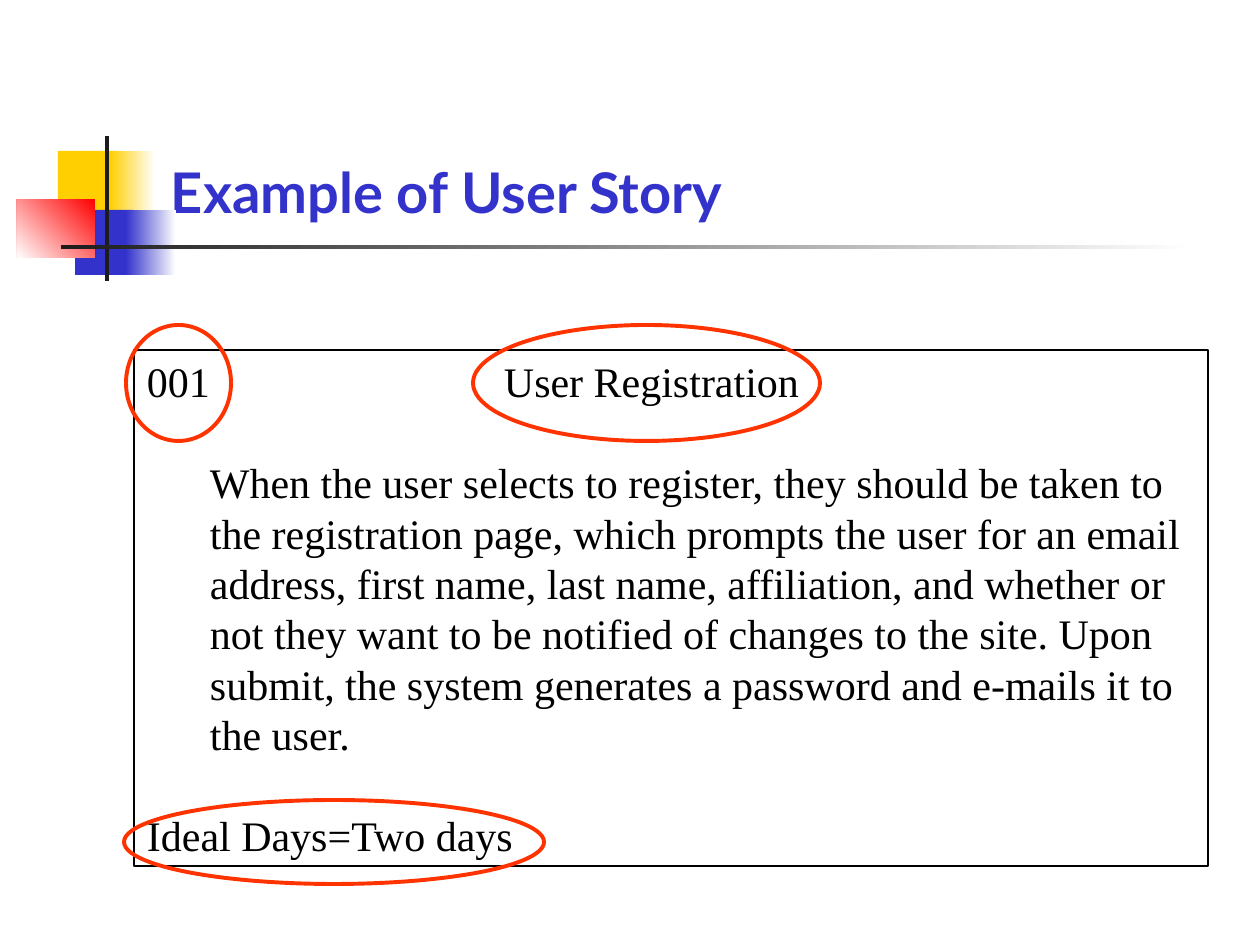
from dataclasses import dataclass

from pptx import Presentation
from pptx.dml.color import RGBColor
from pptx.enum.shapes import MSO_SHAPE
from pptx.enum.text import MSO_ANCHOR, PP_ALIGN
from pptx.util import Emu, Pt

PX_PER_INCH = 126


def px(n):
    return Emu(round(n * 914400 / PX_PER_INCH))


@dataclass(frozen=True)
class Theme:
    yellow: str = "FFCF01"
    blue: str = "3333CC"
    red: str = "FF0000"
    dark: str = "1C1C1C"
    white: str = "FFFFFF"
    black: str = "000000"
    mark: str = "FF3300"
    title_font: str = "Lato"
    body_font: str = "Times New Roman"
    title_size: float = 32
    body_size: float = 24
    line_pitch: float = 28.8
    card_line: float = 0.75
    mark_line: float = 2.25


class SlideBuilder:
    def __init__(self, slide, theme):
        self.slide = slide
        self.theme = theme

    def set_format(self, target, values):
        for name, value in values.items():
            setattr(target, name, value)

    def font(self, r, name, size, color, bold=False):
        self.set_format(r.font, {"name": name, "size": Pt(size), "bold": bold})
        r.font.color.rgb = RGBColor.from_string(color)

    def frame(self, tf, anchor):
        self.set_format(tf, {
            "word_wrap": True, "vertical_anchor": anchor,
            "margin_left": px(13), "margin_right": px(13),
            "margin_top": px(6), "margin_bottom": px(6),
        })

    def shape(self, kind, box, fill=None, line=None, width=0):
        sp = self.slide.shapes.add_shape(kind, *map(px, box))
        sp.shadow.inherit = False
        if fill:
            sp.fill.solid()
            sp.fill.fore_color.rgb = RGBColor.from_string(fill)
        else:
            sp.fill.background()
        if line:
            sp.line.color.rgb = RGBColor.from_string(line)
            sp.line.width = Pt(width)
        else:
            sp.line.fill.background()
        return sp

    def block(self, box, color):
        return self.shape(MSO_SHAPE.RECTANGLE, box, fill=color)

    def fading_block(self, box, color, angle=0):
        """Rectangle that fades from color to white; angle is counter-clockwise."""
        sp = self.block(box, color)
        sp.fill.gradient()
        sp.fill.gradient_angle = angle
        stops = zip(sp.fill.gradient_stops, (color, self.theme.white), (0, 1))
        for stop, rgb, position in stops:
            stop.color.rgb = RGBColor.from_string(rgb)
            stop.position = position

    def title(self, text, box):
        t = self.theme
        sp = self.slide.shapes.title
        self.set_format(sp, dict(zip(("left", "top", "width", "height"), map(px, box))))
        self.frame(sp.text_frame, MSO_ANCHOR.BOTTOM)
        p = sp.text_frame.paragraphs[0]
        p.alignment = PP_ALIGN.LEFT
        r = p.add_run()
        r.text = text
        self.font(r, t.title_font, t.title_size, t.blue, bold=True)

    def body(self, tf, paragraphs):
        """Fill a frame; each paragraph is (text, left indent, blank lines before)."""
        t = self.theme
        self.frame(tf, MSO_ANCHOR.TOP)
        for i, (text, indent, gap) in enumerate(paragraphs):
            p = tf.add_paragraph() if i else tf.paragraphs[0]
            self.set_format(p, {
                "alignment": PP_ALIGN.LEFT,
                "line_spacing": Pt(t.line_pitch),
                "space_before": Pt(gap * t.line_pitch),
            })
            pPr = p._p.get_or_add_pPr()
            pPr.set("marL", str(px(indent)))
            pPr.set("indent", "0")
            r = p.add_run()
            r.text = text
            self.font(r, t.body_font, t.body_size, t.black)

    def card(self, box, paragraphs):
        t = self.theme
        sp = self.shape(MSO_SHAPE.RECTANGLE, box, line=t.black, width=t.card_line)
        self.body(sp.text_frame, paragraphs)

    def label(self, text, box):
        tb = self.slide.shapes.add_textbox(*map(px, box))
        self.body(tb.text_frame, [(text, 0, 0)])

    def highlight(self, box):
        self.shape(MSO_SHAPE.OVAL, box, line=self.theme.mark, width=self.theme.mark_line)


def main():
    prs = Presentation()
    prs.slide_width, prs.slide_height = px(1260), px(945)
    theme = Theme()
    s = SlideBuilder(prs.slides.add_slide(prs.slide_layouts[5]), theme)

    s.block((58, 151, 60, 66), theme.yellow)
    s.fading_block((110, 151, 45, 66), theme.yellow)
    s.block((75, 210, 58, 65), theme.blue)
    s.fading_block((126, 210, 50, 65), theme.blue)
    s.fading_block((17, 199, 78, 59), theme.red, angle=225)
    s.block((105, 136, 4, 145), theme.dark)
    s.fading_block((61, 245, 1134, 4), theme.dark)

    s.title("Example of User Story", (158, 29, 1074, 202))

    story = (
        "When the user selects to register, they should be taken to the "
        "registration page, which prompts the user for an email address, "
        "first name, last name, affiliation, and whether or not they want to "
        "be notified of changes to the site. Upon submit, the system "
        "generates a password and e-mails it to the user."
    )
    card_left, card_top = 134, 350
    s.card((card_left, card_top, 1074, 516), [
        ("001", 0, 0),
        (story, 63, 1),
        ("Ideal Days=Two days", 0, 1),
    ])
    s.label("User Registration", (card_left + 357, card_top, 340, 63))

    for box in ((126, 325, 105, 116), (473, 325, 347, 116), (124, 800, 420, 84)):
        s.highlight(box)

    prs.save("out.pptx")


if __name__ == "__main__":
    main()
